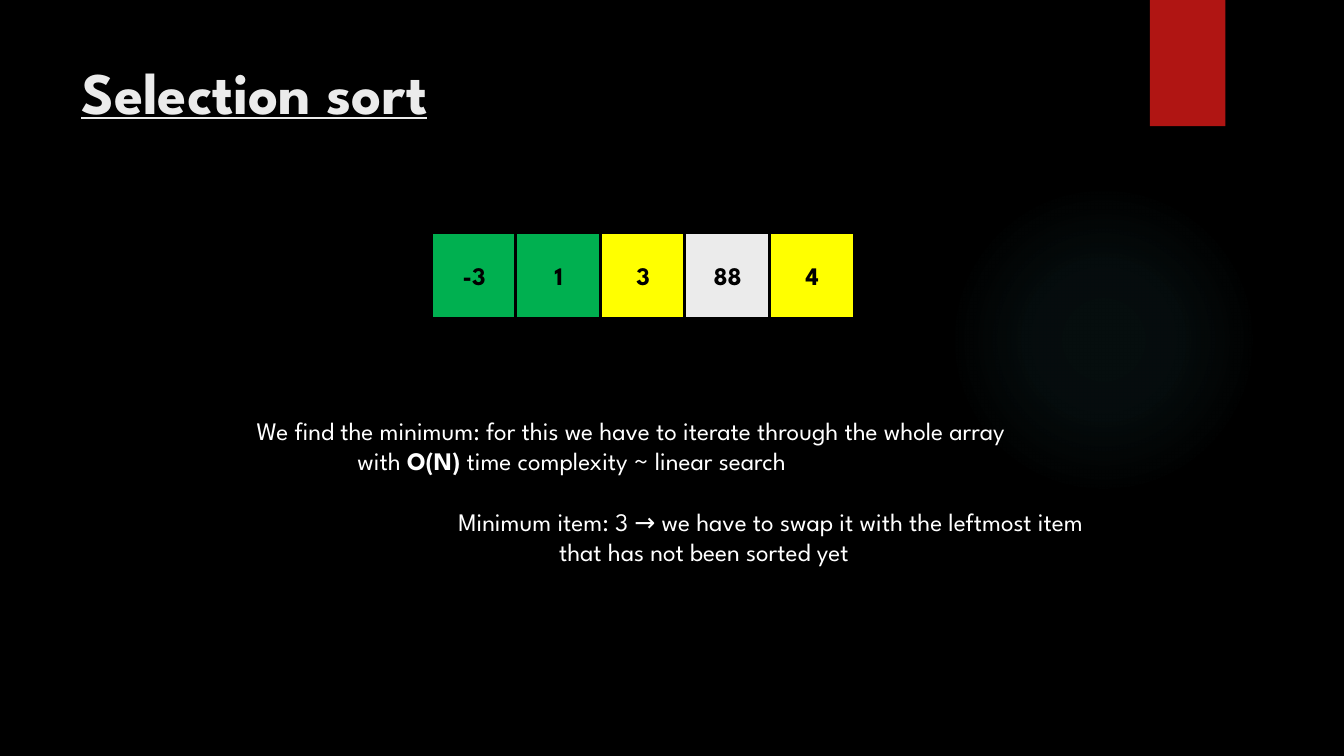
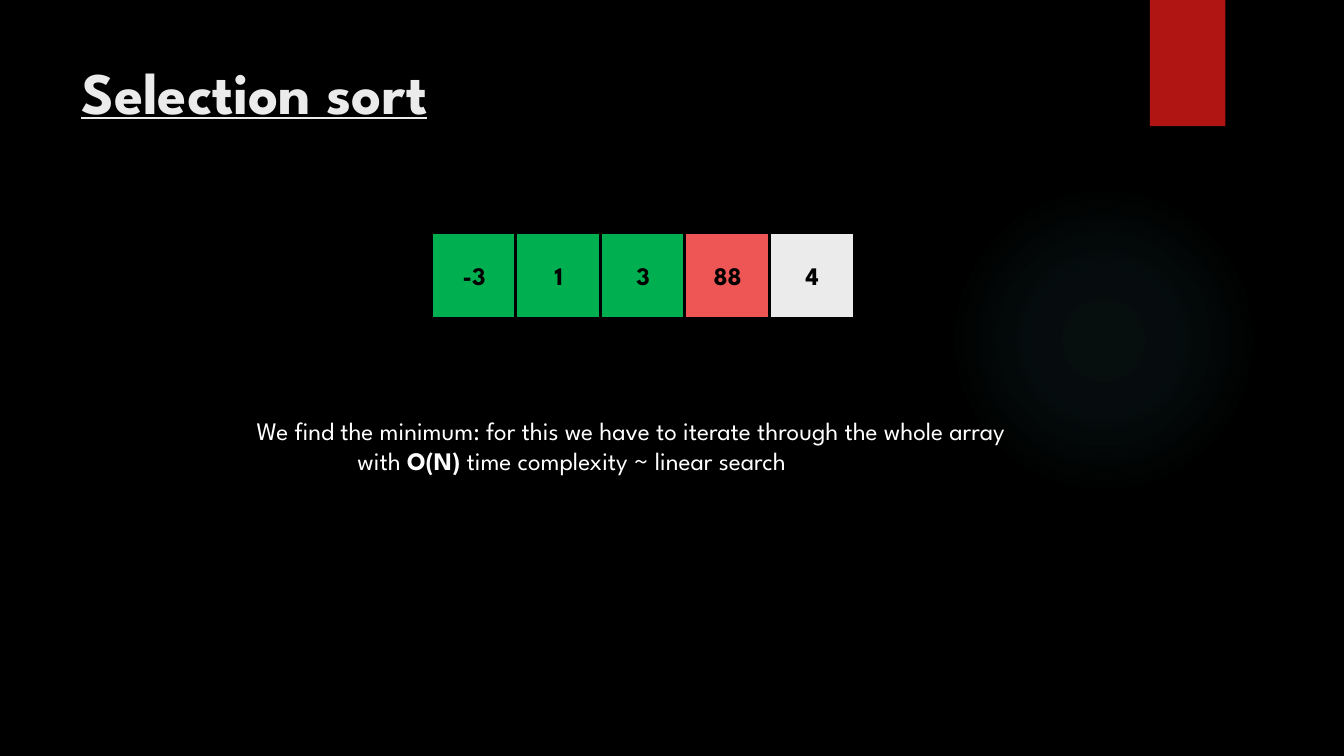
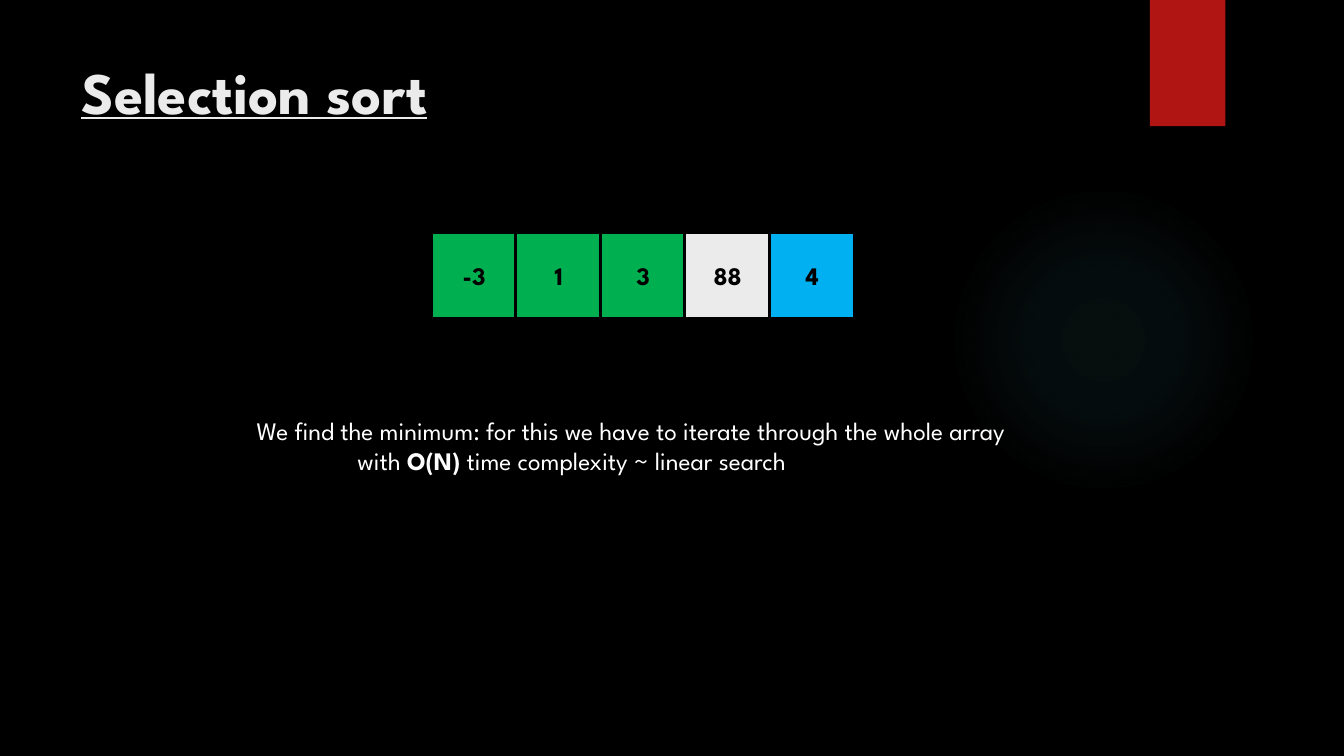
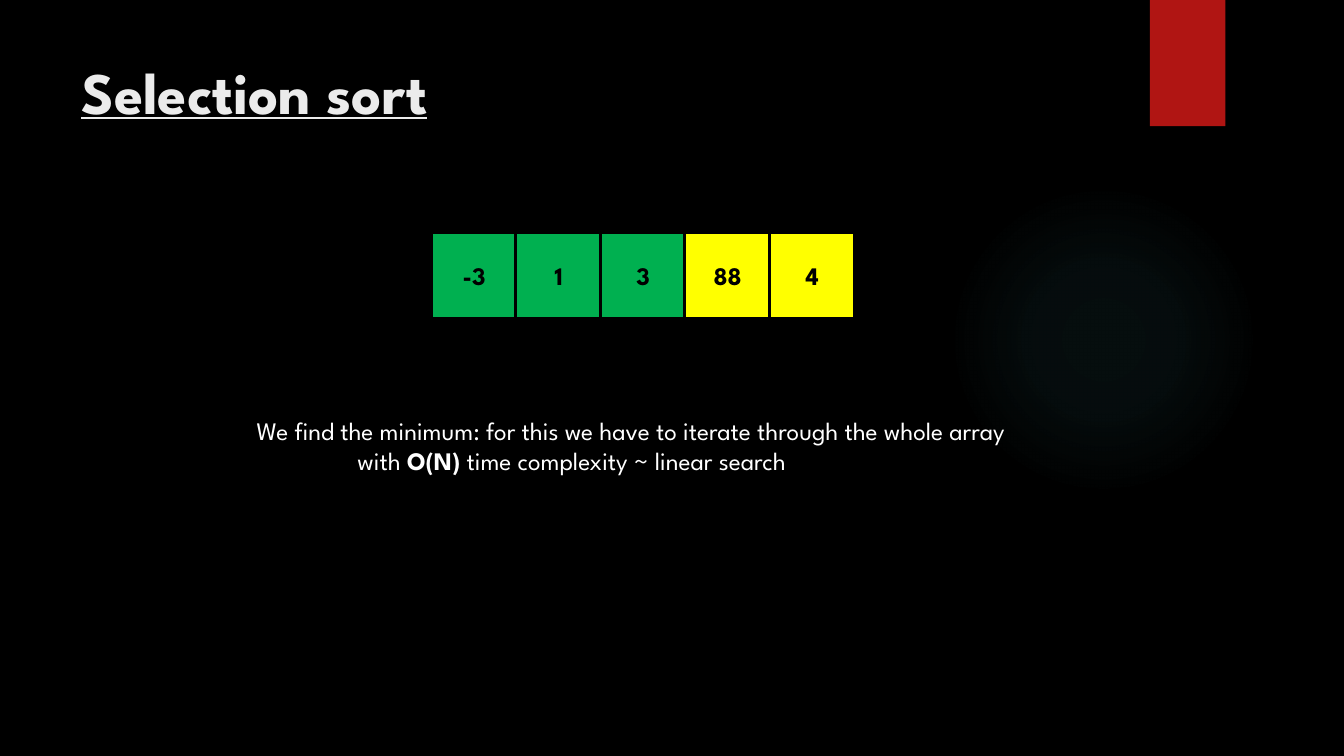
from dataclasses import dataclass

from pptx import Presentation
from pptx.dml.color import RGBColor
from pptx.enum.shapes import MSO_SHAPE
from pptx.enum.text import MSO_ANCHOR, PP_ALIGN
from pptx.oxml import parse_xml
from pptx.oxml.ns import nsdecls, qn
from pptx.util import Cm, Pt


@dataclass(frozen=True)
class Theme:
    font: str = "League Spartan"
    background: str = "000000"
    title: str = "EBEBEB"
    body: str = "FFFFFF"
    ribbon: str = "B01513"
    glow: str = "50B9C1"
    border: str = "000000"
    cell_text: str = "000000"
    sorted: str = "00B050"
    swap: str = "FFFF00"
    waiting: str = "EBEBEB"
    current: str = "ED5654"
    minimum: str = "00B0F0"
    title_size: float = 42
    text_size: float = 18
    border_width: float = 2.25
    step_gap: float = 21.5


THEME = Theme()

VALUES = ["-3", "1", "3", "88", "4"]
CELL_SIZE = 2.16
CELL_PITCH = 2.13
ARRAY_LEFT = 10.87
ARRAY_TOP = 5.87
INDENT = 2.54
KEY_TERM = "O(N)"

FIND_STEP = [
    (0, "We find the minimum: for this we have to iterate through the whole array"),
    (1, "with O(N) time complexity ~ linear search"),
]
SWAP_STEP = [
    (2, "Minimum item: 3 → we have to swap it with the leftmost item"),
    (3, "that has not been sorted yet"),
]

SLIDES = [
    (["sorted", "sorted", "swap", "waiting", "swap"], [FIND_STEP, SWAP_STEP]),
    (["sorted", "sorted", "sorted", "current", "waiting"], [FIND_STEP]),
    (["sorted", "sorted", "sorted", "waiting", "minimum"], [FIND_STEP]),
    (["sorted", "sorted", "sorted", "swap", "swap"], [FIND_STEP]),
]


def rgb(color):
    return RGBColor.from_string(color)


def format_run(r, size, color, bold=False, underline=False):
    r.font.name = THEME.font
    r.font.size = Pt(size)
    r.font.color.rgb = rgb(color)
    r.font.bold = bold
    r.font.underline = underline


def add_block(s, kind, left, top, width, height, color):
    sp = s.shapes.add_shape(kind, Cm(left), Cm(top), Cm(width), Cm(height))
    sp.shadow.inherit = False
    sp.fill.solid()
    sp.fill.fore_color.rgb = rgb(color)
    sp.line.fill.background()
    return sp


def add_text_box(s, left, top, width, height):
    tf = s.shapes.add_textbox(Cm(left), Cm(top), Cm(width), Cm(height)).text_frame
    tf.word_wrap = True
    return tf


def add_glow(s):
    sp = add_block(s, MSO_SHAPE.OVAL, 23.9, 4.65, 7.82, 7.82, THEME.glow)
    stops = "".join(
        f'<a:gs pos="{pos * 1000}"><a:srgbClr val="{THEME.glow}">'
        f'<a:alpha val="{alpha * 1000}"/></a:srgbClr></a:gs>'
        for pos, alpha in [(0, 7), (36, 6), (69, 0)]
    )
    gradient = parse_xml(
        f'<a:gradFill {nsdecls("a")} rotWithShape="1"><a:gsLst>{stops}</a:gsLst>'
        '<a:path path="circle">'
        '<a:fillToRect l="50000" t="50000" r="50000" b="50000"/>'
        "</a:path></a:gradFill>"
    )
    spPr = sp._element.spPr
    spPr.replace(spPr.find(qn("a:solidFill")), gradient)


def add_ribbon(s):
    sp = add_block(s, MSO_SHAPE.RECTANGLE, 28.98, 0, 1.9, 3.18, THEME.ribbon)
    shadow = parse_xml(
        f'<a:outerShdw {nsdecls("a")} blurRad="{Pt(3)}" dist="{Pt(2)}" dir="5400000">'
        '<a:srgbClr val="000000"><a:alpha val="45000"/></a:srgbClr></a:outerShdw>'
    )
    sp._element.spPr.find(qn("a:effectLst")).append(shadow)


def add_title(s, text):
    tf = add_text_box(s, 1.8, 1.27, 26.14, 3.89)
    tf.text = text
    format_run(tf.paragraphs[0].runs[0], THEME.title_size, THEME.title,
               bold=True, underline=True)


def add_cell(s, left, value, color):
    sp = add_block(s, MSO_SHAPE.RECTANGLE, left, ARRAY_TOP, CELL_SIZE, CELL_SIZE, color)
    sp.line.color.rgb = rgb(THEME.border)
    sp.line.width = Pt(THEME.border_width)
    tf = sp.text_frame
    tf.vertical_anchor = MSO_ANCHOR.MIDDLE
    tf.text = value
    p = tf.paragraphs[0]
    p.alignment = PP_ALIGN.CENTER
    format_run(p.runs[0], THEME.text_size, THEME.cell_text, bold=True)


def add_array(s, states):
    for i, (value, state) in enumerate(zip(VALUES, states)):
        add_cell(s, ARRAY_LEFT + i * CELL_PITCH, value, getattr(THEME, state))


def add_line(p, level, text):
    p._p.get_or_add_pPr().set("marL", str(Cm(level * INDENT)))
    for part in filter(None, text.partition(KEY_TERM)):
        r = p.add_run()
        r.text = part
        format_run(r, THEME.text_size, THEME.body, bold=part == KEY_TERM)


def add_explanation(s, steps):
    tf = add_text_box(s, 6.22, 10.34, 24.46, 4.88)
    p = tf.paragraphs[0]
    for i, step in enumerate(steps):
        for j, (level, text) in enumerate(step):
            if i or j:
                p = tf.add_paragraph()
            if i and not j:
                p.space_before = Pt(THEME.step_gap)
            add_line(p, level, text)


def add_sort_slide(prs, states, steps):
    s = prs.slides.add_slide(prs.slide_layouts[6])
    add_glow(s)
    add_ribbon(s)
    add_title(s, "Selection sort")
    add_array(s, states)
    add_explanation(s, steps)


def main():
    prs = Presentation()
    prs.slide_width = Cm(33.87)
    prs.slide_height = Cm(19.05)
    fill = prs.slide_master.background.fill
    fill.solid()
    fill.fore_color.rgb = rgb(THEME.background)
    for states, steps in SLIDES:
        add_sort_slide(prs, states, steps)
    prs.save("out.pptx")


if __name__ == "__main__":
    main()
